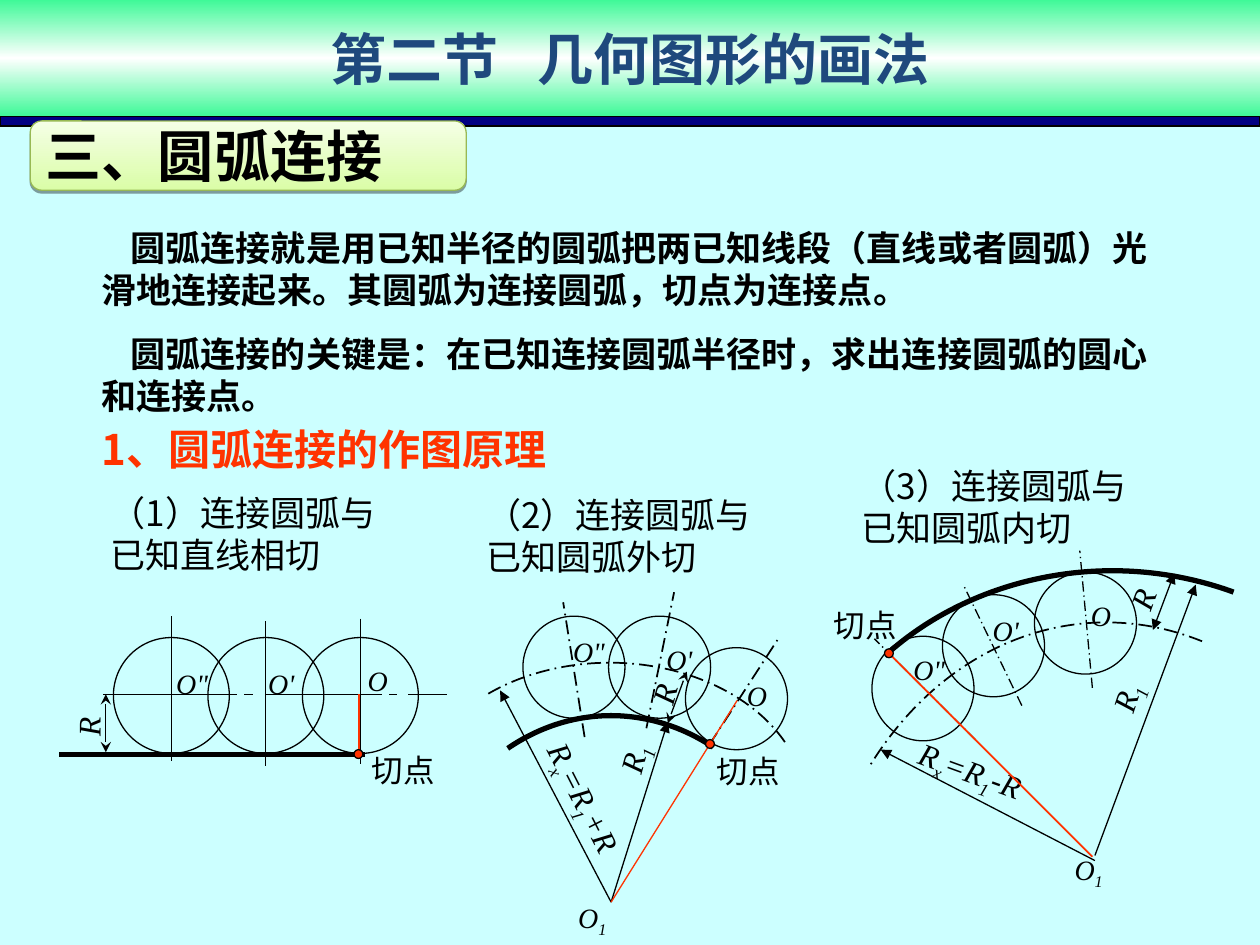
from dataclasses import dataclass
from typing import Optional

from lxml import etree
from pptx import Presentation
from pptx import util as u
from pptx.dml.color import RGBColor
from pptx.enum import dml, shapes, text
from pptx.oxml import ns

COLORS = {
    "ink": "000000", "red": "FF3300", "page": "CCFFFF", "navy": "000082",
    "title": "1F497D", "mint": "3FF998", "white": "FFFFFF",
    "lime": "DAFDA7", "cream": "F5FFE6", "olive": "98B954",
}
SERIF, SANS, TITLE_SANS, LATIN = "Times New Roman", "Noto Sans CJK SC", "Noto Sans CJK JP", "Calibri"
COLUMNS, ROWS = 100, 75

deck = Presentation()
deck.slide_width, deck.slide_height = u.Inches(10), u.Inches(7.5)
slide = deck.slides.add_slide(deck.slide_layouts[6])


@dataclass
class Ray:
    start: tuple[float, float]
    end: tuple[float, float]
    width: float = 0.75
    color: str = "ink"
    dashed: bool = False
    head: Optional[str] = None
    tail: Optional[str] = None


@dataclass
class Ring:
    left: float
    top: float
    width: float = 8.1
    height: float = 8.1
    fill: Optional[str] = None


@dataclass
class Arc:
    points: list[tuple[float, float]]
    width: float = 1
    dashed: bool = True


@dataclass
class Label:
    box: tuple[float, float, float, float]
    runs: list[str]
    size: float = 16
    turn: float = 0


@dataclass
class Passage:
    box: tuple[float, float, float, float]
    paragraphs: list[str]
    size: float = 20
    font: str = SANS
    color: str = "ink"
    bold: bool = False
    indent: float = 0
    top_inset: float = 0.05


def col(value: float) -> int:
    return round(deck.slide_width * value / COLUMNS)


def row(value: float) -> int:
    return round(deck.slide_height * value / ROWS)


def place(box: tuple) -> tuple:
    left, top, width, height = box
    return col(left), row(top), col(width), row(height)


def rgb(name: str) -> RGBColor:
    return RGBColor.from_string(COLORS[name])


def add_run(paragraph, words: str, size: float, font: str, color: str, bold=False, italic=False):
    run = paragraph.add_run()
    run.text = words
    face = run.font
    face.size, face.name, face.bold, face.italic = u.Pt(size), font, bold, italic
    face.color.rgb = rgb(color)
    east = SANS if font in (SERIF, LATIN) else font
    etree.SubElement(run._r.get_or_add_rPr(), ns.qn("a:ea"), typeface=east)
    return run


def style_line(line, width: float, color: str = "ink", dashed: bool = False) -> None:
    line.width = u.Pt(width)
    line.color.rgb = rgb(color)
    if dashed:
        line.dash_style = dml.MSO_LINE.LONG_DASH_DOT


def draw_ray(ray: Ray) -> None:
    (x1, y1), (x2, y2) = ray.start, ray.end
    link = slide.shapes.add_connector(shapes.MSO_CONNECTOR.STRAIGHT, col(x1), row(y1), col(x2), row(y2))
    style_line(link.line, ray.width, ray.color, ray.dashed)
    outline = link.line._get_or_add_ln()
    for end, kind in (("headEnd", ray.head), ("tailEnd", ray.tail)):
        if kind:
            etree.SubElement(outline, ns.qn(f"a:{end}"), type=kind)
    etree.SubElement(link._element.spPr, ns.qn("a:effectLst"))


def draw_ring(ring: Ring) -> None:
    circle = slide.shapes.add_shape(shapes.MSO_SHAPE.OVAL, *place((ring.left, ring.top, ring.width, ring.height)))
    circle.shadow.inherit = False
    style_line(circle.line, 0.75)
    if ring.fill:
        circle.fill.solid()
        circle.fill.fore_color.rgb = rgb(ring.fill)
    else:
        circle.fill.background()


def draw_arc(arc: Arc) -> None:
    track = [(col(x), row(y)) for x, y in arc.points]
    builder = slide.shapes.build_freeform(*track[0], scale=1.0)
    builder.add_line_segments(track[1:], close=False)
    curve = builder.convert_to_shape()
    segments = list(curve._element.iter(ns.qn("a:lnTo")))
    for first in range(0, len(segments), 3):
        bend = etree.Element(ns.qn("a:cubicBezTo"))
        segments[first].addprevious(bend)
        for segment in segments[first:first + 3]:
            bend.append(segment[0])
            segment.getparent().remove(segment)
    curve.shadow.inherit = False
    curve.fill.background()
    style_line(curve.line, arc.width, dashed=arc.dashed)


def draw_label(label: Label) -> None:
    box = slide.shapes.add_textbox(*place(label.box))
    box.rotation = label.turn
    box.text_frame.word_wrap = True
    paragraph = box.text_frame.paragraphs[0]
    for words in label.runs:
        run = add_run(paragraph, words, label.size, SERIF, "ink", italic=words != "切点")
        if words in ("x", "1"):
            run._r.get_or_add_rPr().set("baseline", "-25000")


def draw_passage(passage: Passage) -> None:
    box = slide.shapes.add_textbox(*place(passage.box))
    frame = box.text_frame
    frame.word_wrap = True
    frame.margin_top = u.Inches(passage.top_inset)
    for index, words in enumerate(passage.paragraphs):
        paragraph = frame.add_paragraph() if index else frame.paragraphs[0]
        if index:
            paragraph.space_before = u.Pt(12.5)
        if passage.indent:
            paragraph._p.get_or_add_pPr().set("indent", str(u.Inches(passage.indent)))
        add_run(paragraph, words, passage.size, passage.font, passage.color, passage.bold)


def draw_panel(kind, box: tuple, stops: list[tuple[int, str]], angle: int):
    panel = slide.shapes.add_shape(kind, *place(box))
    panel.shadow.inherit = False
    properties = panel._element.spPr
    gradient = etree.Element(ns.qn("a:gradFill"))
    listing = etree.SubElement(gradient, ns.qn("a:gsLst"))
    for position, color in stops:
        stop = etree.SubElement(listing, ns.qn("a:gs"), pos=str(position * 1000))
        etree.SubElement(stop, ns.qn("a:srgbClr"), val=COLORS[color])
    etree.SubElement(gradient, ns.qn("a:lin"), ang=str(angle * 60000), scaled="0")
    properties.find(ns.qn("a:prstGeom")).addnext(gradient)
    panel.text_frame.vertical_anchor = text.MSO_ANCHOR.MIDDLE
    return panel


PASSAGES = [
    Passage((7.1, 16.9, 86.7, 16.8), ["圆弧连接就是用已知半径的圆弧把两已知线段（直线或者圆弧）光滑地连接起来。其圆弧为连接圆弧，切点为连接点。",
            "圆弧连接的关键是：在已知连接圆弧半径时，求出连接圆弧的圆心和连接点。"], font=SERIF, bold=True, indent=0.23, top_inset=0.11),
    Passage((7.1, 33.1, 82.9, 5), ["1、圆弧连接的作图原理"], 24, color="red", bold=True),
    Passage((7.8, 38.5, 23.8, 7.7), ["（1）连接圆弧与已知直线相切"]),
    Passage((37.6, 38.7, 24.6, 7.7), ["（2）连接圆弧与已知圆弧外切"]),
    Passage((67.4, 36.4, 24.2, 7.7), ["（3）连接圆弧与已知圆弧内切"]),
]
AXIS_SPANS = [(8.2, 18.8), (19.4, 20.1), (21.1, 30.3), (30.9, 31.5), (32.4, 35.5)]
LINE_TANGENT = [
    Ray((4.7, 59.9), (29, 59.9), 3),
    *[Ray((a, 55.1), (b, 55.1)) for a, b in AXIS_SPANS],
    *[Ring(x - 4.6, 50.6, 9.2, 9.2) for x in (13.6, 21.1, 28.6)],
    *[Ray((x, top), (x, top + 11.5)) for x, top in ((13.6, 48.9), (21.1, 49.3), (28.6, 49.1))],
    Label((28.2, 52.2, 4.8, 3.7), ["O"]), Label((20.3, 52.4, 4.8, 3.7), ["O'"]), Label((13, 52.4, 4.8, 3.7), ['O"']),
    Ray((8.4, 55.1), (8.4, 59.7), head="stealth", tail="stealth"),
    Label((4.9, 55.3, 4.2, 4), ["R"], 18, 270),
    Ray((28.5, 55.1), (28.5, 59.5), 1.5, "red"),
    Ring(28.1, 59.5, 0.7, 0.7, "red"),
    Label((28.5, 59.1, 15.8, 4), ["切点"], 18),
]
OUTER_TANGENT = [
    Ray((51.3, 57.8), (53.5, 47), 1, dashed=True),
    Ray((46.4, 58.5), (44.7, 47.8), 1, dashed=True),
    Ray((56.3, 59.1), (61.7, 50.8), 1, dashed=True),
    Ring(48.3, 48.9), Ring(41.5, 48.9), Ring(54.4, 51.4),
    Label((51.9, 50.5, 4.9, 3.7), ["O'"]), Label((44.5, 49.9, 4.9, 3.7), ['O"']), Label((58.3, 53.4, 3.9, 3.7), ["O"]),
    Arc([(62.3, 58.9), (59.7, 55.1), (54.3, 52.6), (48.4, 52.6), (44.9, 52.6), (41.4, 53.5), (38.7, 55.1)]),
    Ray((54.5, 53.3), (53, 57.4), head="stealth", tail="stealth"),
    Label((51.1, 53.3, 3, 4), ["R"], 18, 285),
    Ray((48.5, 71.6), (39.7, 54.8), tail="triangle"),
    Label((40.1, 61.9, 12.9, 4.4), ["R", "x", "=R", "1", "+R"], 18, 63),
    Arc([(56.6, 59.3), (54.2, 57.7), (51.4, 56.8), (48.5, 56.8), (45.6, 56.8), (42.8, 57.7), (40.3, 59.4)], 3, False),
    Ray((48.5, 71.6), (53, 57.3), tail="triangle"),
    Label((48.1, 57.8, 4.8, 4.4), ["R", "1"], 18, 285),
    Label((44.9, 71, 6.5, 4.1), ["O", "1"]),
    Ray((48.5, 71.6), (58.5, 55.6), color="red"),
    Ring(56, 58.7, 0.7, 0.7, "red"),
    Label((55.9, 59.2, 7.9, 4), ["切点"], 18),
]
INNER_TANGENT = [
    Ring(74.8, 47.2), Ring(82.1, 45.4), Ring(69.2, 50.5, 8.1, 8.3),
    Label((77.8, 48.2, 4.9, 3.7), ["O'"]), Label((85.6, 47, 4.9, 3.7), ["O"]), Label((71.5, 51.3, 5.8, 3.7), ['O"']),
    Ray((81.1, 56), (76.5, 46.5), dashed=True),
    Ray((86.7, 54.6), (85.7, 43.7), dashed=True),
    Ray((77.4, 58.7), (69.4, 50.7), dashed=True),
    Arc([(95.4, 50.9), (92.9, 49.9), (90.4, 49.4), (87.8, 49.4), (80.3, 49.4), (73.3, 53.7), (68.9, 61)]),
    Ray((86.9, 68.3), (69.9, 59.5), tail="triangle"),
    Label((71.7, 59.4, 12.1, 4.4), ["R", "x", "=R", "1", "-R"], 18, 20),
    Ray((93.2, 45.5), (91.5, 50), head="triangle", tail="triangle"),
    Label((88.6, 45.1, 4.4, 4), ["R"], 18, 290),
    Arc([(97.9, 47), (94.9, 45.9), (91.6, 45.3), (88.3, 45.3), (81.6, 45.3), (75.1, 47.7), (70.4, 51.9)], 3, False),
    Ray((86.9, 67.9), (94.9, 46.4), tail="triangle"),
    Label((87.2, 52.9, 4.9, 4.4), ["R", "1"], 18, 288),
    Label((84.3, 67.2, 5.4, 4.1), ["O", "1"]),
    Ray((86.7, 68), (70.3, 51.6), 1, "red"),
    Ring(70.2, 51.5, 0.7, 0.7, "red"),
    Label((65.2, 47.6, 8, 4), ["切点"], 18),
]
DRAW = {Ray: draw_ray, Ring: draw_ring, Arc: draw_arc, Label: draw_label, Passage: draw_passage}

slide.background.fill.solid()
slide.background.fill.fore_color.rgb = rgb("page")
for part in PASSAGES + LINE_TANGENT + OUTER_TANGENT + INNER_TANGENT:
    DRAW[type(part)](part)

divider = slide.shapes.add_shape(shapes.MSO_SHAPE.RECTANGLE, *place((0, 9.2, 100, 0.8)))
divider.shadow.inherit = False
divider.fill.solid()
divider.fill.fore_color.rgb = rgb("navy")
style_line(divider.line, 0.75)

section = draw_panel(shapes.MSO_SHAPE.ROUNDED_RECTANGLE, (2.4, 9.6, 34.6, 5.5), [(0, "lime"), (100, "cream")], 270)
style_line(section.line, 0.75, "olive")
shade = etree.SubElement(section._element.spPr.find(ns.qn("a:effectLst")), ns.qn("a:outerShdw"),
                         dist=str(u.Pt(1.6)), dir="5400000", rotWithShape="0")
tint = etree.SubElement(shade, ns.qn("a:srgbClr"), val=COLORS["ink"])
etree.SubElement(tint, ns.qn("a:alpha"), val="38000")
heading = section.text_frame.paragraphs[0]
heading.alignment = text.PP_ALIGN.LEFT
add_run(heading, "三、圆弧连接", 32, LATIN, "ink", bold=True)

banner = draw_panel(shapes.MSO_SHAPE.RECTANGLE, (0, 0, 100, 9.2), [(0, "mint"), (50, "white"), (100, "mint")], 90)
banner.line.fill.background()
title = banner.text_frame.paragraphs[0]
title.alignment = text.PP_ALIGN.CENTER
for words, gap in (("第二节", 0), (" ", 1500), ("几何图形的画法", 0)):
    run = add_run(title, words, 32, TITLE_SANS, "title", bold=True)
    if gap:
        run._r.get_or_add_rPr().set("spc", str(gap))

deck.save("out.pptx")
